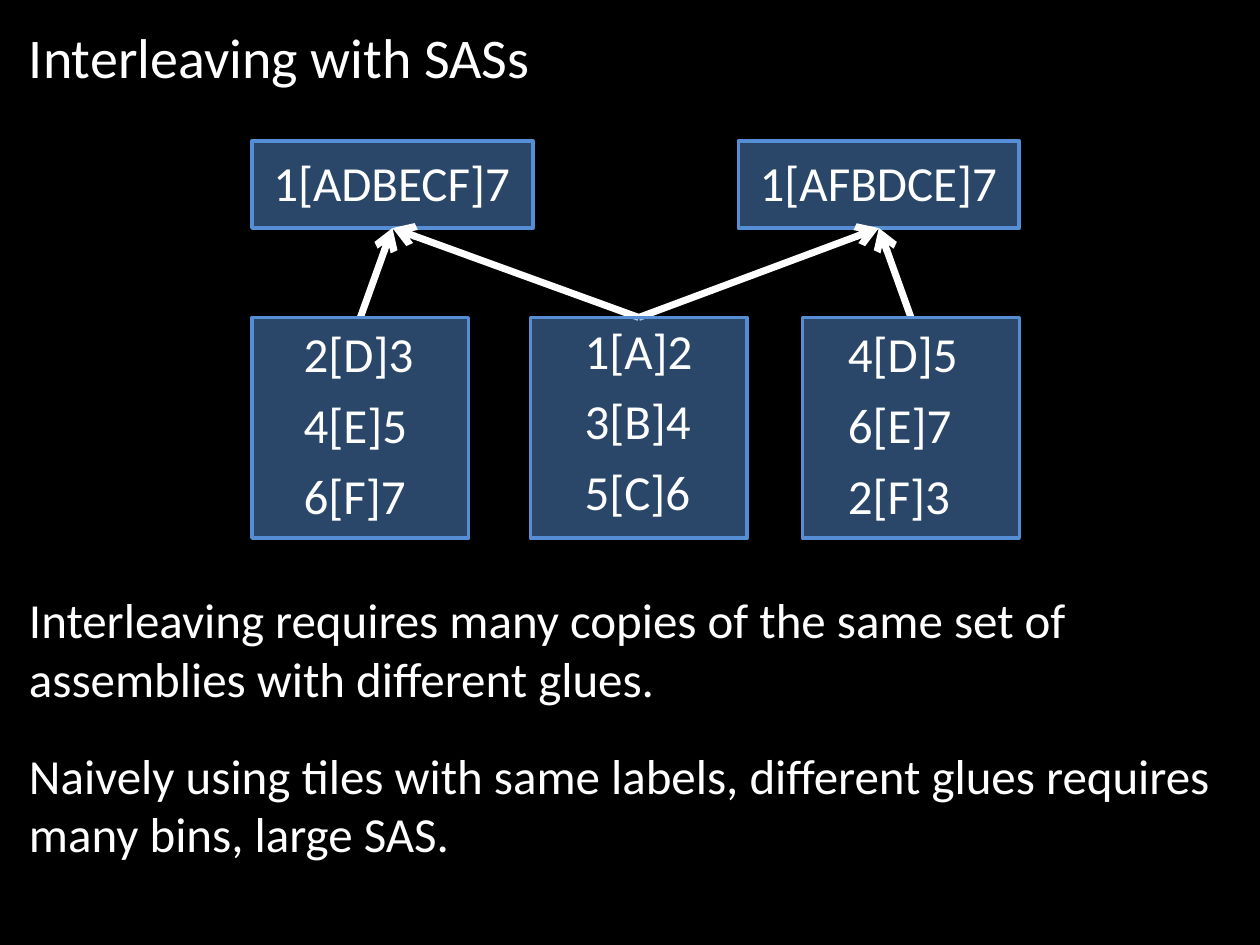
from dataclasses import dataclass

from pptx import Presentation
from pptx.dml.color import RGBColor
from pptx.enum.shapes import MSO_CONNECTOR as Line, MSO_SHAPE as Shape
from pptx.enum.text import MSO_ANCHOR as Anchor, MSO_AUTO_SIZE as AutoSize, PP_ALIGN as Align
from pptx.oxml.ns import qn
from pptx.util import Inches, Pt
from lxml.etree import SubElement


@dataclass(frozen=True)
class Theme:
    font: str = "Calibri"
    title_size: int = 32
    text_size: int = 28
    background: RGBColor = RGBColor(0, 0, 0)
    text: RGBColor = RGBColor(255, 255, 255)
    box: RGBColor = RGBColor(0x55, 0x8E, 0xD5)
    box_opacity: int = 50
    border: int = 2
    arrow: int = 4


TOP, BOTTOM = 0, 2  # connection sites of a rectangle


class Sketch:
    """Draws on one page; lengths are cells of a 100 by 75 grid."""

    def __init__(self, deck, theme):
        self.theme = theme
        self.cell = deck.slide_width / 100
        self.page = deck.slides.add_slide(deck.slide_layouts[1])
        fill = self.page.background.fill
        fill.solid()
        fill.fore_color.rgb = theme.background

    def cells(self, *counts):
        return [round(count * self.cell) for count in counts]

    def set_text(self, shape, lines, size, gap=0, left=1, top=0.5):
        frame = shape.text_frame
        frame.text = "\n".join(lines)
        frame.word_wrap = True
        frame.auto_size = AutoSize.NONE
        frame.vertical_anchor = Anchor.TOP
        frame.margin_left, frame.margin_top = self.cells(left, top)
        frame.margin_right = frame.margin_bottom = 0
        for index, para in enumerate(frame.paragraphs):
            para.alignment = Align.LEFT
            para.space_before = Pt(gap if index else 0)
            for span in para.runs:
                span.font.name = self.theme.font
                span.font.size = Pt(size)
                span.font.color.rgb = self.theme.text

    def place(self, shape, *area):
        shape.left, shape.top, shape.width, shape.height = self.cells(*area)

    def title(self, text, *area):
        title = self.page.shapes.title
        self.place(title, *area)
        self.set_text(title, [text], self.theme.title_size)

    def body(self, lines, gap, *area):
        body = self.page.placeholders[1]
        self.place(body, *area)
        self.set_text(body, lines, self.theme.text_size, gap)
        for para in body.text_frame.paragraphs:
            layout = para._p.get_or_add_pPr()
            layout.set("marL", "0")
            layout.set("indent", "0")
            SubElement(layout, qn("a:buNone"))

    def box(self, lines, area, gap=0, left=1, top=0.5):
        box = self.page.shapes.add_shape(Shape.RECTANGLE, *self.cells(*area))
        box.shadow.inherit = False
        box.fill.solid()
        box.fill.fore_color.rgb = self.theme.box
        color = box._element.spPr.find(f"{qn('a:solidFill')}/{qn('a:srgbClr')}")
        SubElement(color, qn("a:alpha"), val=str(self.theme.box_opacity * 1000))
        box.line.color.rgb = self.theme.box
        box.line.width = Pt(self.theme.border)
        self.set_text(box, lines, self.theme.text_size, gap, left, top)
        return box

    def arrow(self, source, target):
        arrow = self.page.shapes.add_connector(Line.STRAIGHT, 0, 0, 0, 0)
        arrow.begin_connect(source, TOP)
        arrow.end_connect(target, BOTTOM)
        arrow.line.color.rgb = self.theme.text
        arrow.line.width = Pt(self.theme.arrow)
        SubElement(arrow.line._get_or_add_ln(), qn("a:tailEnd"), type="arrow")
        SubElement(arrow._element.spPr, qn("a:effectLst"))

    def bring_to_front(self, shape):
        self.page.shapes._spTree.append(shape._element)


def main():
    deck = Presentation()
    deck.slide_width, deck.slide_height = Inches(10), Inches(7.5)
    sketch = Sketch(deck, Theme())

    # Title and explanation
    sketch.title("Interleaving with SASs", 1.3, 1.3, 77.6, 6.4)
    sketch.body(
        ["Interleaving requires many copies of the same set of assemblies with different glues.",
         "Naively using tiles with same labels, different glues requires many bins, large SAS."],
        21.6, 1.3, 46.3, 98.7, 22.9)

    # Interleaved results
    results = [sketch.box([label], (column, 11.2, 22.3, 6.9), left=1.7, top=0.9)
               for label, column in (("1[ADBECF]7", 20), ("1[AFBDCE]7", 58.6))]

    # Bins of glue-labelled assemblies: labels, column, text insets
    bins = [sketch.box(labels.split(), (column, 25.2, 17.2, 17.5), 6.9, left, top)
            for labels, column, left, top in (
                ("2[D]3 4[E]5 6[F]7", 20, 4.1, 0.5),
                ("1[A]2 3[B]4 5[C]6", 42.1, 4.3, 0.2),
                ("4[D]5 6[E]7 2[F]3", 63.7, 3.6, 0.5))]

    # Each result mixes the shared middle bin with its own outer bin
    for result, outer in zip(results, (bins[0], bins[2])):
        sketch.arrow(bins[1], result)
        sketch.arrow(outer, result)
    for glue_bin in bins:
        sketch.bring_to_front(glue_bin)

    deck.save("out.pptx")


if __name__ == "__main__":
    main()
